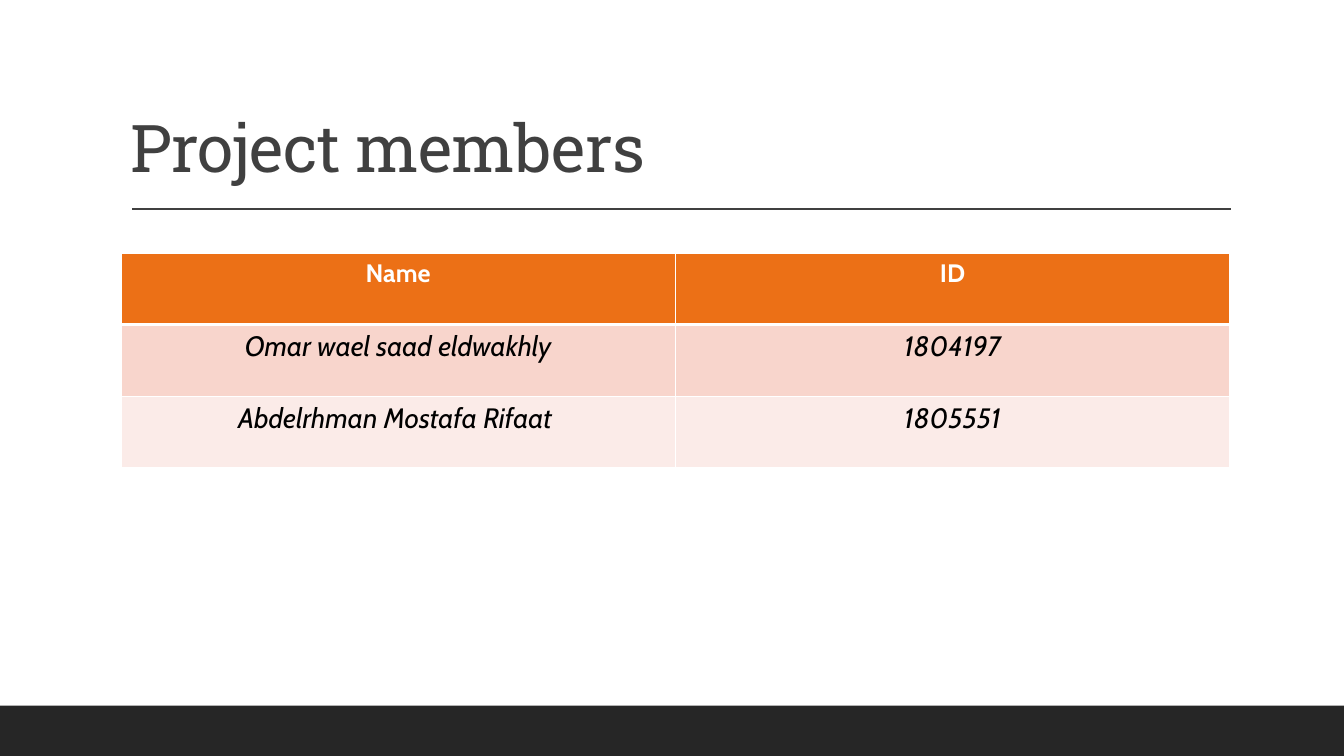
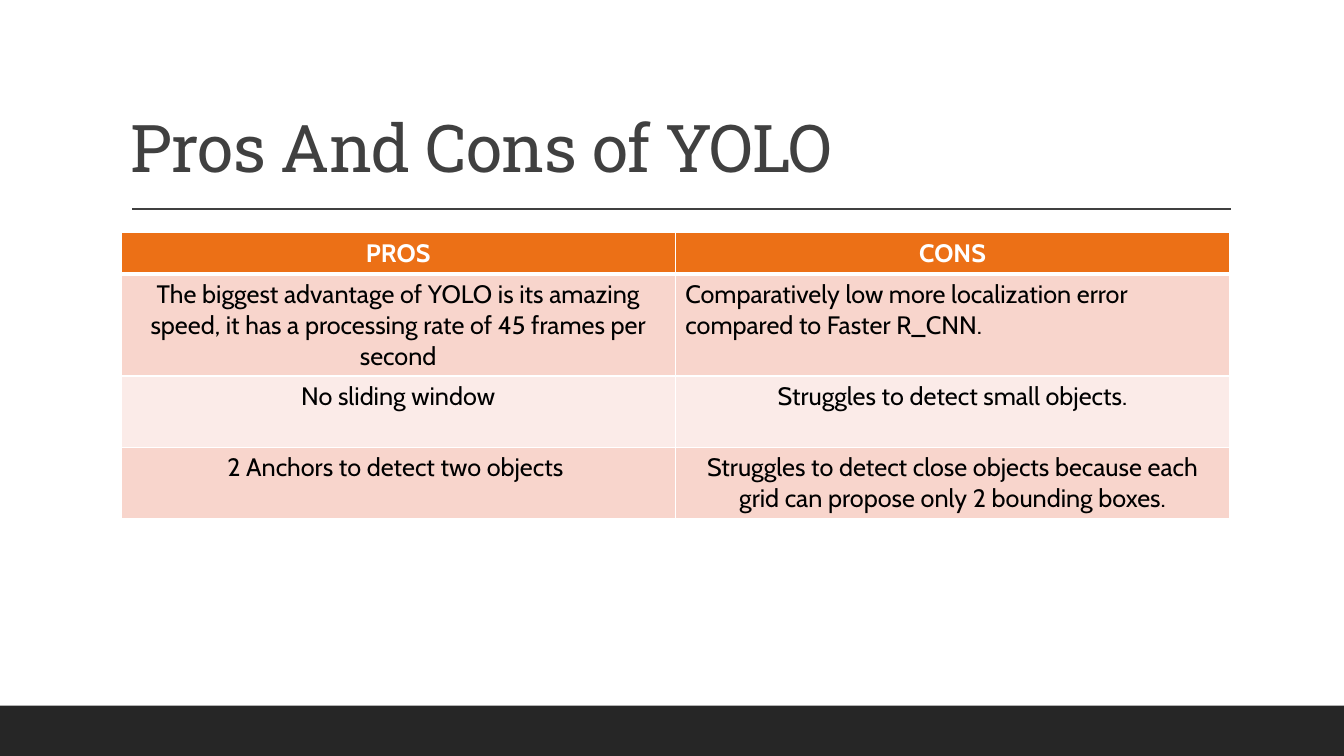
from lxml import etree
from pptx import Presentation
from pptx.dml.color import RGBColor
from pptx.enum.shapes import MSO_CONNECTOR, MSO_SHAPE
from pptx.enum.text import MSO_ANCHOR, PP_ALIGN
from pptx.oxml.ns import qn
from pptx.util import Inches, Pt

LEFT, MID = PP_ALIGN.LEFT, PP_ALIGN.CENTER
BOTTOM = MSO_ANCHOR.BOTTOM
RECT, LINE = MSO_SHAPE.RECTANGLE, MSO_CONNECTOR.STRAIGHT

WHITE = RGBColor(0xFF, 0xFF, 0xFF)
BLACK = RGBColor(0x00, 0x00, 0x00)
GREY = RGBColor(0x40, 0x40, 0x40)
DARK = RGBColor(0x26, 0x26, 0x26)
ORANGE = RGBColor(0xEC, 0x70, 0x16)
ROSE = RGBColor(0xF8, 0xD5, 0xCC)
BLUSH = RGBColor(0xFB, 0xEB, 0xE8)

HEAD_FONT, BODY_FONT = "Roboto Slab", "Cabin"

deck = Presentation()
deck.slide_width, deck.slide_height = Inches(13.33), Inches(7.5)
WIDE, HIGH = deck.slide_width, deck.slide_height
COL, ROW = WIDE / 40, HIGH / 75
EDGE, SPAN = int(3.6 * COL), int(33 * COL)


def write(frame, text, font=BODY_FONT, size=18, color=BLACK, bold=False,
          italic=False, align=MID, lead=1.0, track=0):
    """Fill a text frame; track is letter spacing in hundredths of a point."""
    para = frame.paragraphs[0]
    para.alignment, para.line_spacing = align, lead
    run = para.add_run()
    run.text = text
    face = run.font
    face.name, face.size, face.bold, face.italic = font, Pt(size), bold, italic
    face.color.rgb = color
    if track:
        run._r.get_or_add_rPr().set("spc", str(track))


def border(cell, top, base):
    """Draw white cell edges, given the top and bottom widths in points."""
    props = cell._tc.get_or_add_tcPr()
    for spot, (side, width) in enumerate(zip("LRTB", (1, 1, top, base))):
        edge = etree.Element(qn(f"a:ln{side}"), w=str(Pt(width)))
        fill = etree.SubElement(edge, qn("a:solidFill"))
        etree.SubElement(fill, qn("a:srgbClr"), val=str(WHITE))
        props.insert(spot, edge)


# title, table top in rows, row heights in rows, body format, cell texts
PAGES = [
    ("Project members", 25.1, (7.1, 7.1, 7.1), {"size": 20, "italic": True}, [
        ("Name", "ID"),
        ("Omar wael saad eldwakhly", "1804197"),
        ("Abdelrhman Mostafa Rifaat ", "1805551"),
    ]),
    ("Pros And Cons of YOLO", 23.1, (4.1, 10.1, 7.1, 7.1), {}, [
        ("PROS", "CONS"),
        ("The biggest advantage of YOLO is its amazing speed, it has a "
         "processing rate of 45 frames per second",
         "Comparatively low more localization error compared to Faster R_CNN."),
        ("No sliding window", "Struggles to detect small objects."),
        ("2 Anchors to detect two objects ",
         "Struggles to detect close objects because each grid can propose "
         "only 2 bounding boxes."),
    ]),
]
LEFT_CELLS = {("Pros And Cons of YOLO", 1, 1)}

for title, top, heights, style, rows in PAGES:
    slide = deck.slides.add_slide(deck.slide_layouts[6])
    shapes = slide.shapes

    band = shapes.add_shape(RECT, 0, int(70 * ROW), WIDE, int(5 * ROW))
    band.shadow.inherit = False
    band.fill.solid()
    band.fill.fore_color.rgb = DARK
    band.line.fill.background()

    rule = shapes.add_connector(LINE, int(3.93 * COL), int(20.75 * ROW),
                                int(36.63 * COL), int(20.75 * ROW))
    rule.line.color.rgb, rule.line.width = GREY, Pt(1)
    etree.SubElement(rule._element.spPr, qn("a:effectLst"))

    head = shapes.add_textbox(EDGE, int(3.1 * ROW), SPAN, int(15.9 * ROW))
    head.text_frame.word_wrap = True
    head.text_frame.vertical_anchor = BOTTOM
    write(head.text_frame, title, font=HEAD_FONT, size=47, color=GREY,
          align=LEFT, lead=0.9, track=-50)

    table = shapes.add_table(len(rows), 2, EDGE, int(top * ROW), SPAN,
                             int(sum(heights) * ROW)).table
    for r, (high, texts) in enumerate(zip(heights, rows)):
        table.rows[r].height = int(high * ROW)
        for c, text in enumerate(texts):
            cell = table.cell(r, c)
            cell.fill.solid()
            cell.fill.fore_color.rgb = (BLUSH, ROSE)[r % 2] if r else ORANGE
            border(cell, 3 if r == 1 else 1, 1 if r else 3)
            look = style if r else {"color": WHITE, "bold": True}
            side = LEFT if (title, r, c) in LEFT_CELLS else MID
            write(cell.text_frame, text, align=side, **look)

deck.save("out.pptx")
